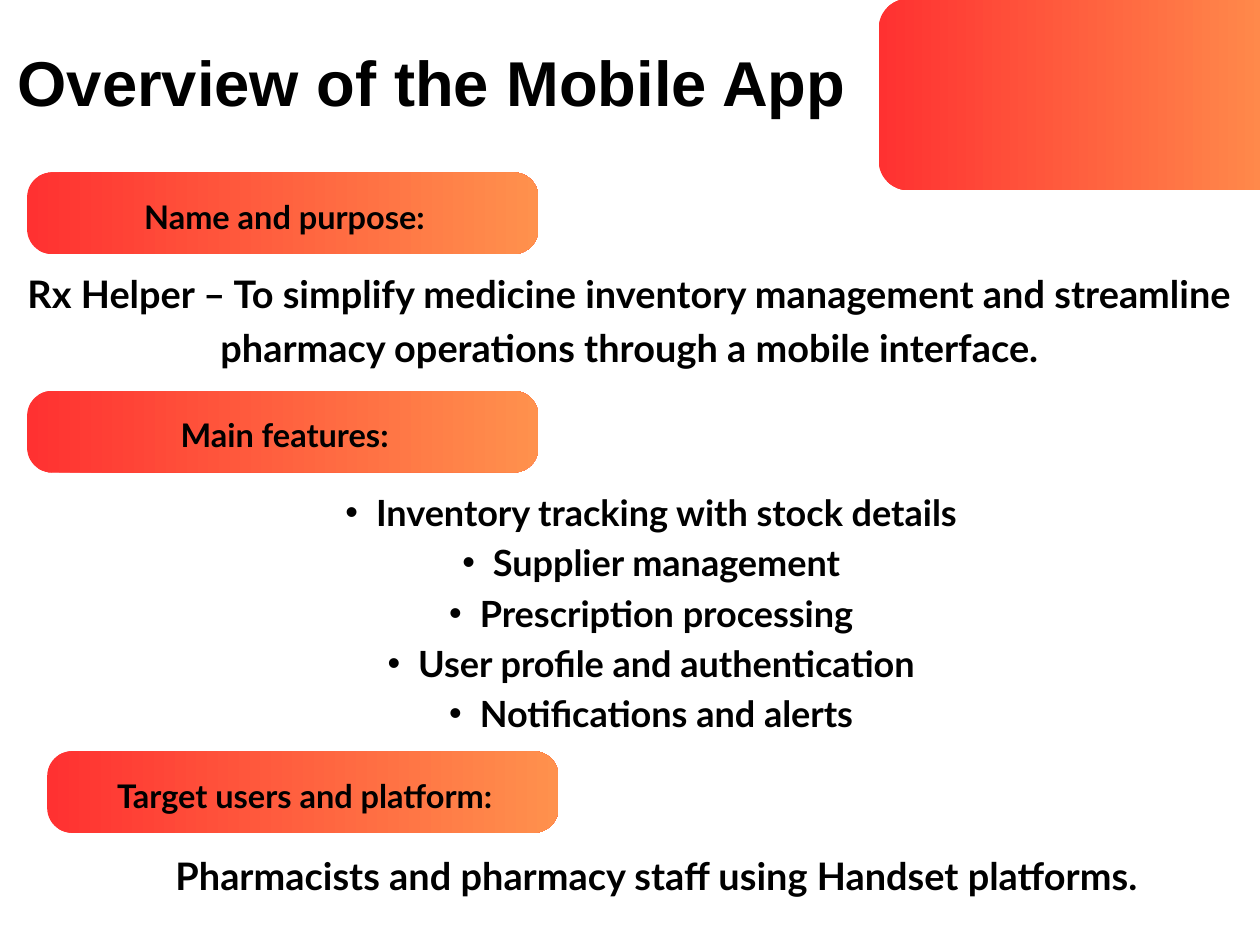
from pptx import Presentation
from pptx.dml.color import RGBColor
from pptx.enum.shapes import MSO_SHAPE
from pptx.enum.text import MSO_ANCHOR, PP_ALIGN
from pptx.oxml.ns import qn
from pptx.util import Inches, Pt
from lxml import etree

RED = RGBColor(0xFF, 0x31, 0x31)
ORANGE = RGBColor(0xFF, 0x91, 0x4D)
BLACK = RGBColor(0, 0, 0)

TITLE = "Overview of the Mobile App"
HEADINGS = [
    ("Name and purpose:", 0.23, 1.46),
    ("Main features:", 0.23, 3.31),
    ("Target users and platform:", 0.4, 6.36),
]
PURPOSE = ("Rx Helper – To simplify medicine inventory management and streamline "
           "pharmacy operations through a mobile interface.")
FEATURES = [
    "Inventory tracking with stock details",
    "Supplier management",
    "Prescription processing",
    "User profile and authentication",
    "Notifications and alerts",
]
USERS = "Pharmacists and pharmacy staff using Handset platforms."


def write(tf, lines, size, spacing, font="Lato", align=PP_ALIGN.CENTER):
    tf.word_wrap = True
    tf.margin_left = tf.margin_top = tf.margin_right = tf.margin_bottom = 0
    for i, line in enumerate(lines):
        p = tf.add_paragraph() if i else tf.paragraphs[0]
        p.text = line
        p.alignment = align
        p.line_spacing = Pt(spacing)
        p.font.name = font
        p.font.size = Pt(size)
        p.font.bold = True
        p.font.color.rgb = BLACK


def add_text(s, box, lines, *style, **options):
    tf = s.shapes.add_textbox(*map(Inches, box)).text_frame
    write(tf, lines, *style, **options)
    return tf


def add_panel(s, box, radius):
    sp = s.shapes.add_shape(MSO_SHAPE.ROUNDED_RECTANGLE, *map(Inches, box))
    sp.adjustments[0] = radius / box[3]
    sp.shadow.inherit = False
    sp.line.fill.background()
    sp.fill.gradient()
    sp.fill.gradient_angle = 0
    for stop, color in zip(sp.fill.gradient_stops, (RED, ORANGE)):
        stop.color.rgb = color
    return sp


def add_bullets(tf):
    for p in tf.paragraphs:
        p.level = 1
        pPr = p._p.get_or_add_pPr()
        pPr.set("marL", str(Inches(0.52)))
        pPr.set("indent", str(Inches(-0.26)))
        font = etree.Element(qn("a:buFont"), typeface="Arial")
        char = etree.Element(qn("a:buChar"), char="•")
        place = pPr.index(pPr.find(qn("a:lnSpc"))) + 1
        pPr[place:place] = [font, char]


prs = Presentation()
prs.slide_width, prs.slide_height = Inches(10.67), Inches(8)
s = prs.slides.add_slide(prs.slide_layouts[6])

add_panel(s, (7.44, -0.01, 3.55, 1.62), 0.25)
add_text(s, (0.15, 0.27, 9.51, 1.35), [TITLE], 38.6, 53.3,
         font="Arial", align=PP_ALIGN.LEFT)

for heading, left, top in HEADINGS:
    sp = add_panel(s, (left, top, 4.33, 0.69), 0.21)
    write(sp.text_frame, [heading], 19.8, 27.7)
    sp.text_frame.margin_left = Inches(0.03)
    sp.text_frame.vertical_anchor = MSO_ANCHOR.MIDDLE

add_text(s, (0, 2.23, 10.67, 0.88), [PURPOSE], 23.1, 32.4)
add_bullets(add_text(s, (1.25, 4.09, 8.27, 2.52), FEATURES, 22, 30.7))
add_text(s, (0.23, 7.15, 10.67, 0.44), [USERS], 23.1, 32.4)

prs.save("out.pptx")
